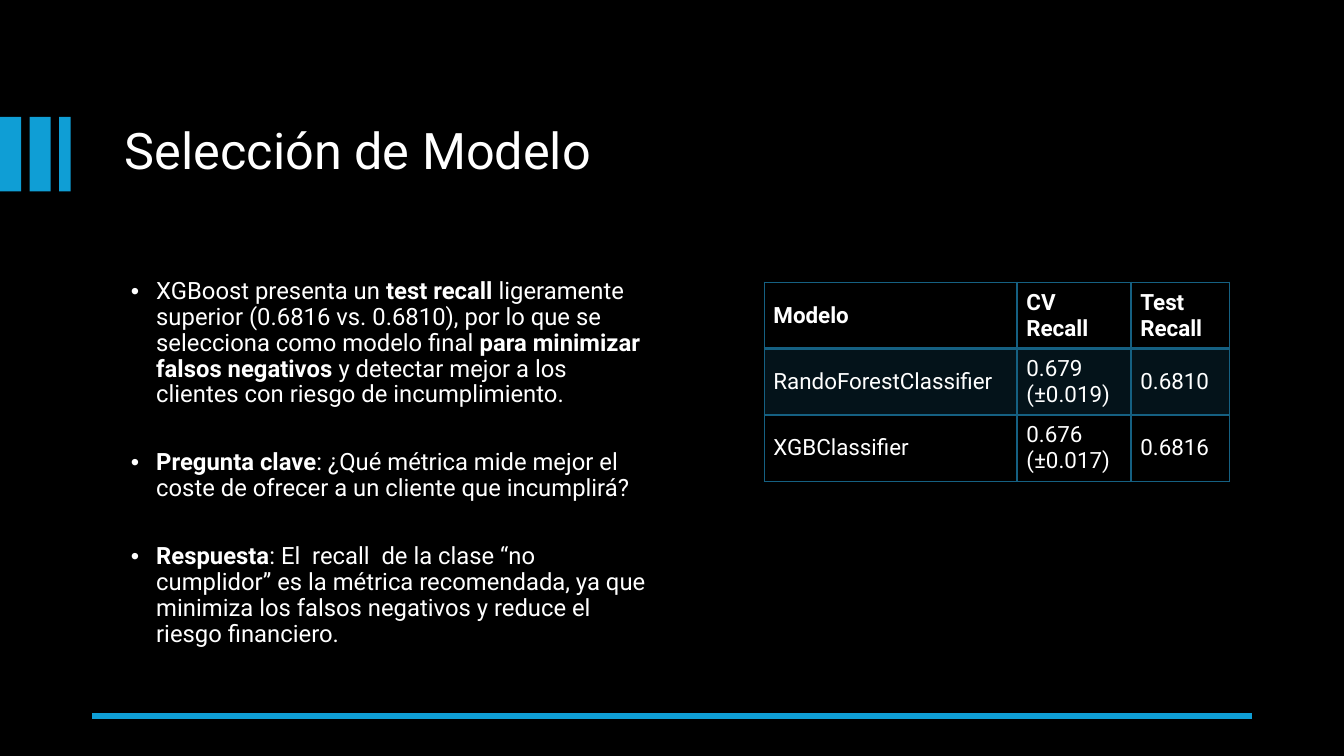
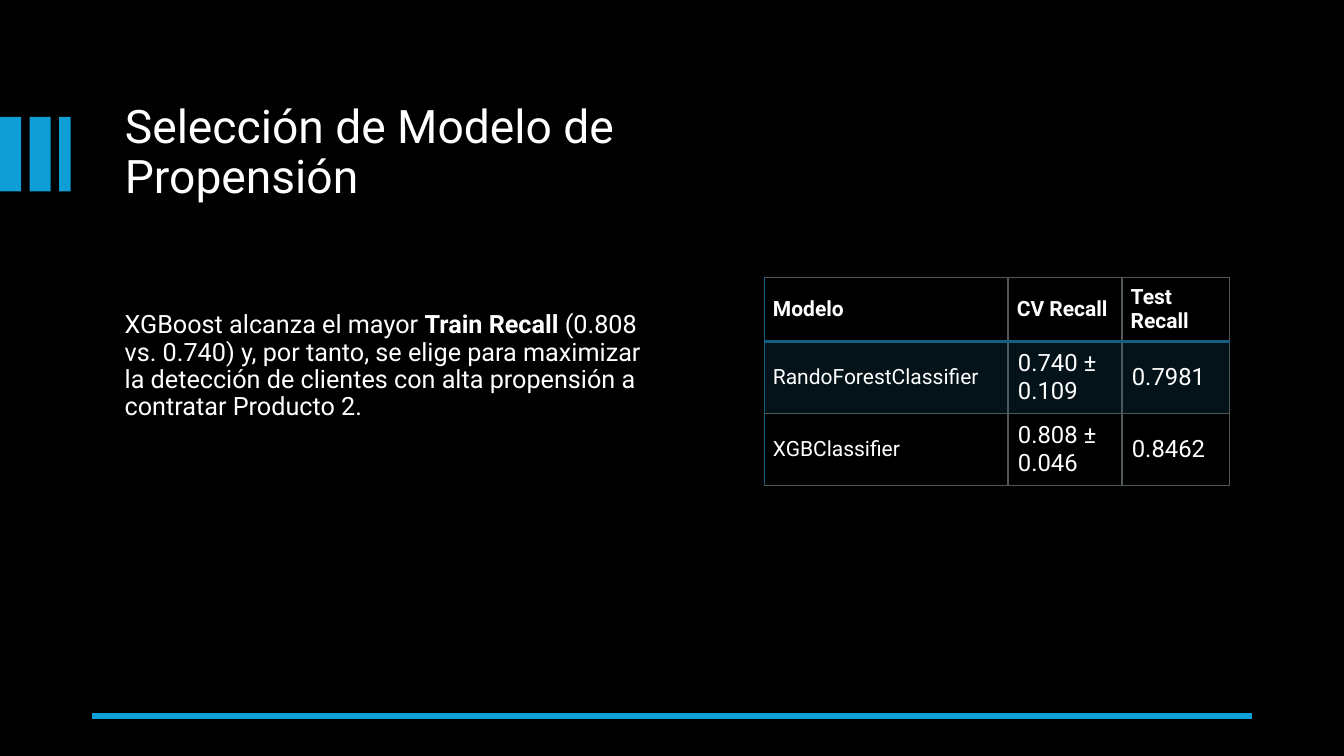
from dataclasses import dataclass

import pptx
import pptx.dml.color
import pptx.enum.shapes
import pptx.enum.text
import pptx.oxml
import pptx.oxml.ns
import pptx.slide
import pptx.table
import pptx.text.text
import pptx.util

Pt = pptx.util.Pt
RGBColor = pptx.dml.color.RGBColor
MIDDLE = pptx.enum.text.MSO_ANCHOR.MIDDLE

BLACK = RGBColor(0x00, 0x00, 0x00)
WHITE = RGBColor(0xFF, 0xFF, 0xFF)
ACCENT = RGBColor(0x0F, 0x9E, 0xD5)
TABLE_BLUE = RGBColor(0x15, 0x60, 0x82)
GRID_GREY = RGBColor(0x50, 0x58, 0x5C)
FONT = "Roboto"
LINE_SPACING = 0.9
LEFT = 82
TABLE_LEFT = 545.8
BULLET_INDENT = 22.5
BAR_WIDTHS = (15.1, 15.1, 8.2)
BAR_PITCH = 21.1

# A passage is a sequence of (text, bold) pieces
Passage = tuple[tuple[str, bool], ...]


@dataclass(frozen=True)
class ResultsTable:
    top: float
    column_widths: tuple[float, ...]
    row_heights: tuple[float, ...]
    label_size: float
    value_size: float
    grid: RGBColor
    rows: tuple[tuple[str, ...], ...]


@dataclass(frozen=True)
class ModelPage:
    title: str
    title_size: float
    passages: tuple[Passage, ...]
    bulleted: bool
    text_size: float
    text_top: float
    text_height: float
    results: ResultsTable


HEADER = ("Modelo", "CV Recall", "Test Recall")

PAGES = (
    ModelPage(
        title="Selección de Modelo",
        title_size=36,
        passages=(
            (
                ("XGBoost presenta un ", False),
                ("test recall", True),
                (" ligeramente superior (0.6816 vs. 0.6810), por lo que se "
                 "selecciona como modelo final ", False),
                ("para minimizar falsos negativos ", True),
                ("y detectar mejor a los clientes con riesgo de "
                 "incumplimiento.", False),
            ),
            (
                ("Pregunta clave", True),
                (": ¿Qué métrica mide mejor el coste de ofrecer a un cliente "
                 "que incumplirá?", False),
            ),
            (
                ("Respuesta", True),
                (": El  recall  de la clase “no cumplidor” es la métrica "
                 "recomendada, ya que minimiza los falsos negativos y reduce "
                 "el riesgo financiero.", False),
            ),
        ),
        bulleted=True,
        text_size=17,
        text_top=198.7,
        text_height=289.4,
        results=ResultsTable(
            top=201.6,
            column_widths=(180.7, 81.4, 70.6),
            row_heights=(47.4, 47.4, 47.4),
            label_size=16,
            value_size=16,
            grid=TABLE_BLUE,
            rows=(
                HEADER,
                ("RandoForestClassifier", "0.679 (±0.019)", "0.6810"),
                ("XGBClassifier", "0.676 (±0.017)", "0.6816"),
            ),
        ),
    ),
    ModelPage(
        title="Selección de Modelo de Propensión",
        title_size=33,
        passages=(
            (
                ("XGBoost alcanza el mayor ", False),
                ("Train Recall", True),
                (" (0.808 vs. 0.740) y, por tanto, se elige para maximizar "
                 "la detección de clientes con alta propensión a contratar "
                 "Producto 2.", False),
            ),
        ),
        bulleted=False,
        text_size=18,
        text_top=183.6,
        text_height=181.4,
        results=ResultsTable(
            top=198.1,
            column_widths=(174.2, 81.4, 77),
            row_heights=(45.8, 51.4, 51.4),
            label_size=15,
            value_size=17,
            grid=GRID_GREY,
            rows=(
                HEADER,
                ("RandoForestClassifier", "0.740 ± 0.109", "0.7981"),
                ("XGBClassifier", "0.808 ± 0.046", "0.8462"),
            ),
        ),
    ),
)


def format_span(span: pptx.text.text._Run, size: float,
                bold: bool = False) -> None:
    span.font.name = FONT
    span.font.size = Pt(size)
    span.font.bold = bold
    span.font.color.rgb = WHITE


def add_decor(page: pptx.slide.Slide) -> None:
    # Bars beside the title
    for index, width in enumerate(BAR_WIDTHS):
        bar = page.shapes.add_shape(
            pptx.enum.shapes.MSO_SHAPE.RECTANGLE,
            Pt(index * BAR_PITCH), Pt(83.5), Pt(width), Pt(53.3))
        bar.shadow.inherit = False
        bar.fill.solid()
        bar.fill.fore_color.rgb = ACCENT
        bar.line.fill.background()
    # Rule at the foot
    rule = page.shapes.add_connector(
        pptx.enum.shapes.MSO_CONNECTOR.STRAIGHT,
        Pt(894.2), Pt(511.2), Pt(66), Pt(511.2))
    rule.line.color.rgb = ACCENT
    rule.line.width = Pt(4.5)
    pptx.oxml.ns.qn("a:effectLst")
    rule._element.spPr.append(pptx.oxml.parse_xml(
        f'<a:effectLst {pptx.oxml.ns.nsdecls("a")}/>'))


def set_title(page: pptx.slide.Slide, text: str, size: float) -> None:
    title = page.shapes.title
    title.left, title.top = Pt(LEFT), Pt(69)
    title.width, title.height = Pt(398), Pt(81.4)
    frame = title.text_frame
    frame.text = text
    frame.word_wrap = True
    frame.auto_size = pptx.enum.text.MSO_AUTO_SIZE.NONE
    frame.vertical_anchor = MIDDLE
    para = frame.paragraphs[0]
    para.alignment = pptx.enum.text.PP_ALIGN.LEFT
    para.line_spacing = LINE_SPACING
    format_span(para.runs[0], size)


def add_bullet(para: pptx.text.text._Paragraph) -> None:
    properties = para._p.get_or_add_pPr()
    properties.set("marL", str(Pt(BULLET_INDENT)))
    properties.set("indent", str(-Pt(18)))
    namespace = pptx.oxml.ns.nsdecls("a")
    properties.append(pptx.oxml.parse_xml(
        f'<a:buFont {namespace} typeface="Arial"/>'))
    properties.append(pptx.oxml.parse_xml(
        f'<a:buChar {namespace} char="•"/>'))


def add_passages(page: pptx.slide.Slide, content: ModelPage) -> None:
    box = page.shapes.add_textbox(
        Pt(LEFT), Pt(content.text_top), Pt(393), Pt(content.text_height))
    frame = box.text_frame
    frame.word_wrap = True
    frame.vertical_anchor = MIDDLE
    frame.margin_top, frame.margin_bottom = Pt(0), Pt(25)
    for index, passage in enumerate(content.passages):
        para = frame.add_paragraph() if index else frame.paragraphs[0]
        para.line_spacing = LINE_SPACING
        para.space_before = Pt(30.4 if index else 0)
        if content.bulleted:
            add_bullet(para)
        for text, bold in passage:
            span = para.add_run()
            span.text = text
            format_span(span, content.text_size, bold)


def set_border(cell: pptx.table._Cell, side: str, color: RGBColor,
               width: float) -> None:
    cell._tc.get_or_add_tcPr().append(pptx.oxml.parse_xml(
        f'<a:ln{side} {pptx.oxml.ns.nsdecls("a")} w="{Pt(width)}">'
        f'<a:solidFill><a:srgbClr val="{color}"/></a:solidFill>'
        f'</a:ln{side}>'))


def format_cell(cell: pptx.table._Cell, row: int, column: int,
                results: ResultsTable) -> None:
    # Borders: blue left edge, heavier blue line under the header
    blue, grid = (TABLE_BLUE, 1), (results.grid, 1)
    heavy = (TABLE_BLUE, 2)
    set_border(cell, "L", *(grid if column else blue))
    set_border(cell, "R", *grid)
    set_border(cell, "T", *(heavy if row == 1 else grid))
    set_border(cell, "B", *(heavy if row == 0 else grid))
    # Fill: a translucent band on the first result
    if row == 1:
        cell.fill.solid()
        cell.fill.fore_color.rgb = TABLE_BLUE
        tint = cell._tc.tcPr.find(pptx.oxml.ns.qn("a:solidFill"))[0]
        tint.append(pptx.oxml.parse_xml(
            f'<a:alpha {pptx.oxml.ns.nsdecls("a")} val="20000"/>'))
    else:
        cell.fill.background()
    # Text
    is_value = row > 0 and column > 0
    size = results.value_size if is_value else results.label_size
    cell.text_frame.text = results.rows[row][column]
    cell.vertical_anchor = MIDDLE
    inset = round(size * 0.42, 1)
    cell.margin_left = cell.margin_right = Pt(inset)
    cell.margin_top = cell.margin_bottom = Pt(inset / 2)
    format_span(cell.text_frame.paragraphs[0].runs[0], size, row == 0)


def add_results(page: pptx.slide.Slide, results: ResultsTable) -> None:
    table = page.shapes.add_table(
        len(results.rows), len(results.column_widths),
        Pt(TABLE_LEFT), Pt(results.top),
        Pt(sum(results.column_widths)), Pt(sum(results.row_heights))).table
    table.first_row = table.horz_banding = False
    for column, width in enumerate(results.column_widths):
        table.columns[column].width = Pt(width)
    for row, height in enumerate(results.row_heights):
        table.rows[row].height = Pt(height)
        for column in range(len(results.column_widths)):
            format_cell(table.cell(row, column), row, column, results)


def main() -> None:
    deck = pptx.Presentation()
    deck.slide_width, deck.slide_height = Pt(960), Pt(540)
    background = deck.slide_master.background.fill
    background.solid()
    background.fore_color.rgb = BLACK
    title_only = deck.slide_layouts.get_by_name("Title Only")
    for content in PAGES:
        page = deck.slides.add_slide(title_only)
        add_decor(page)
        set_title(page, content.title, content.title_size)
        add_passages(page, content)
        add_results(page, content.results)
    deck.save("out.pptx")


if __name__ == "__main__":
    main()
